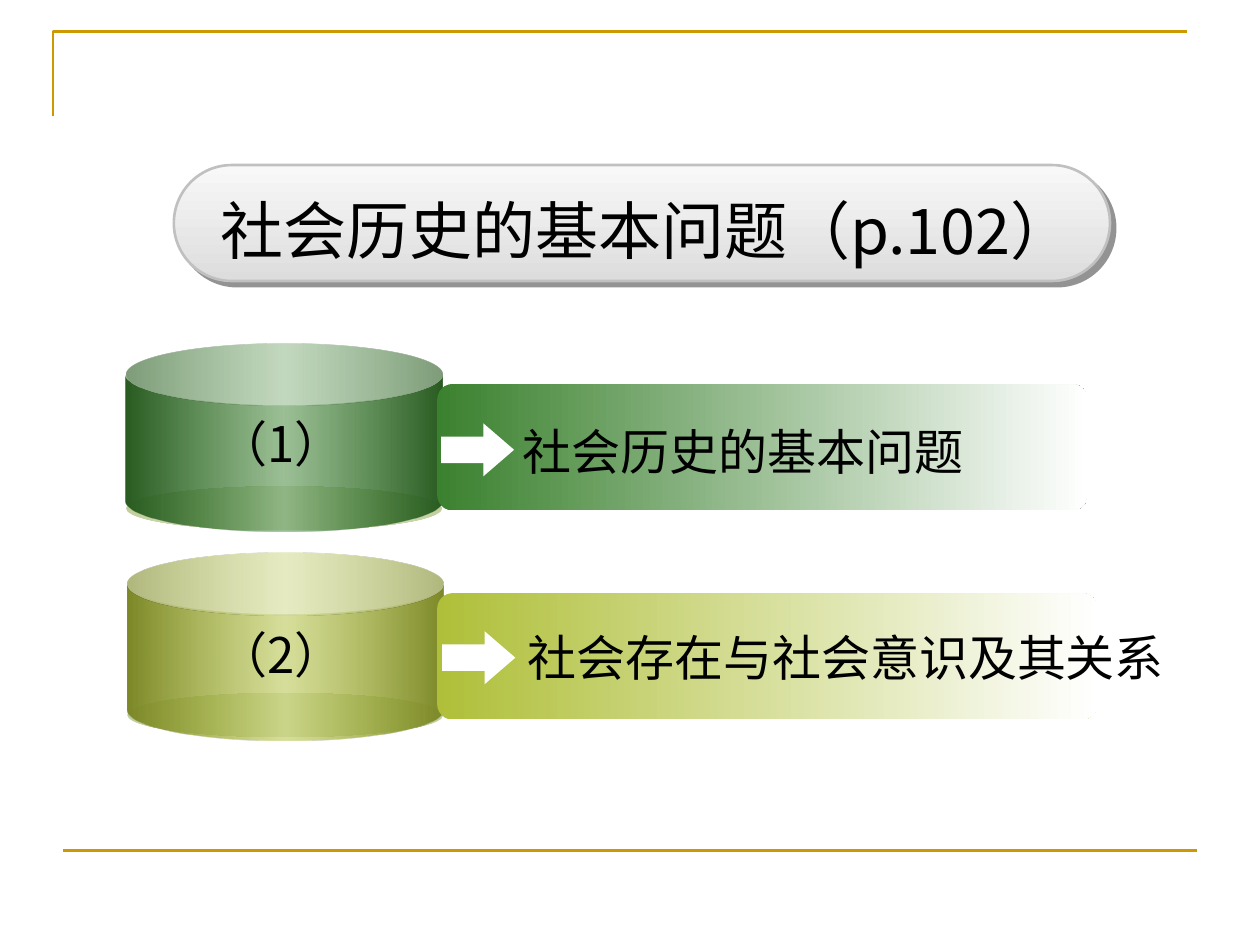
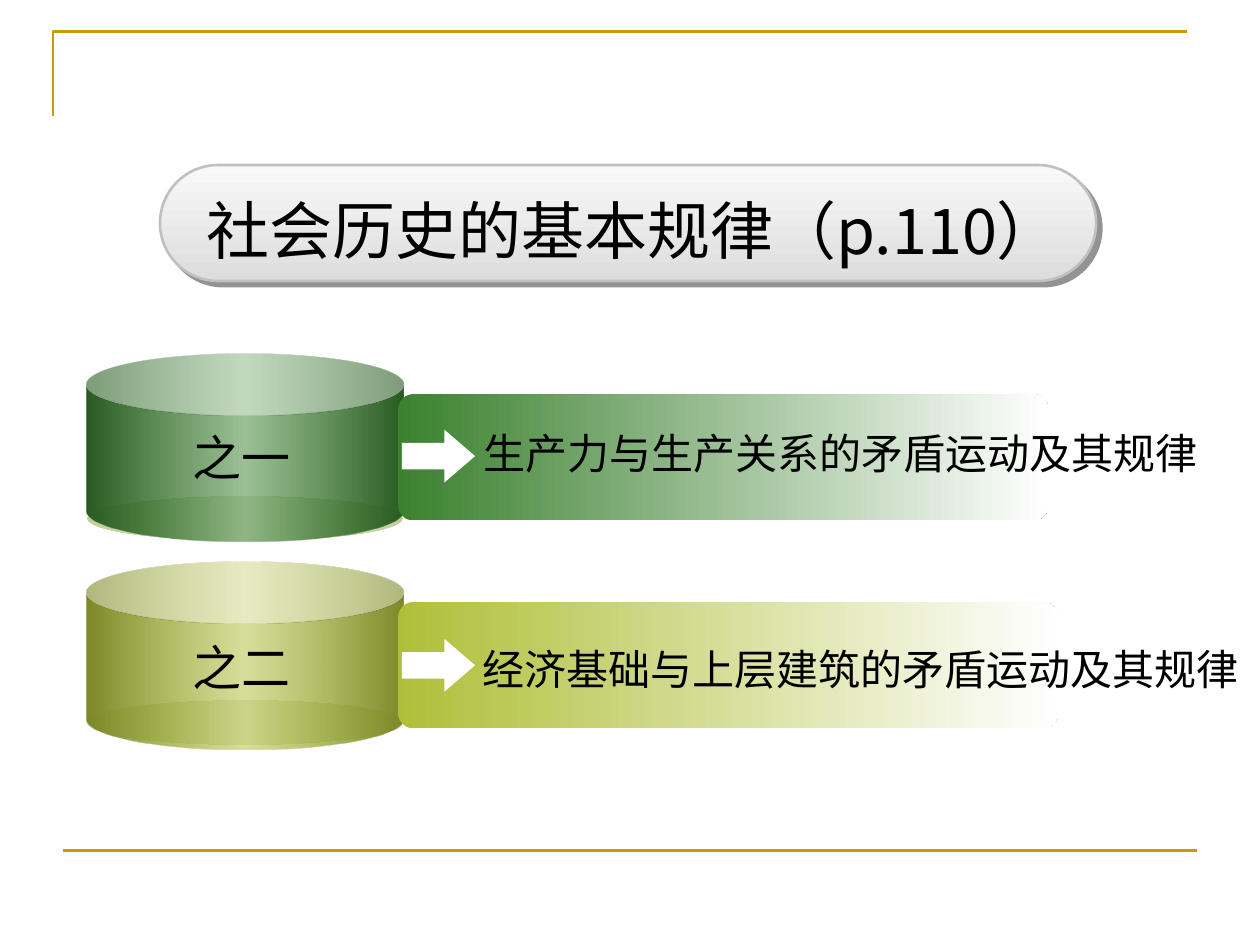
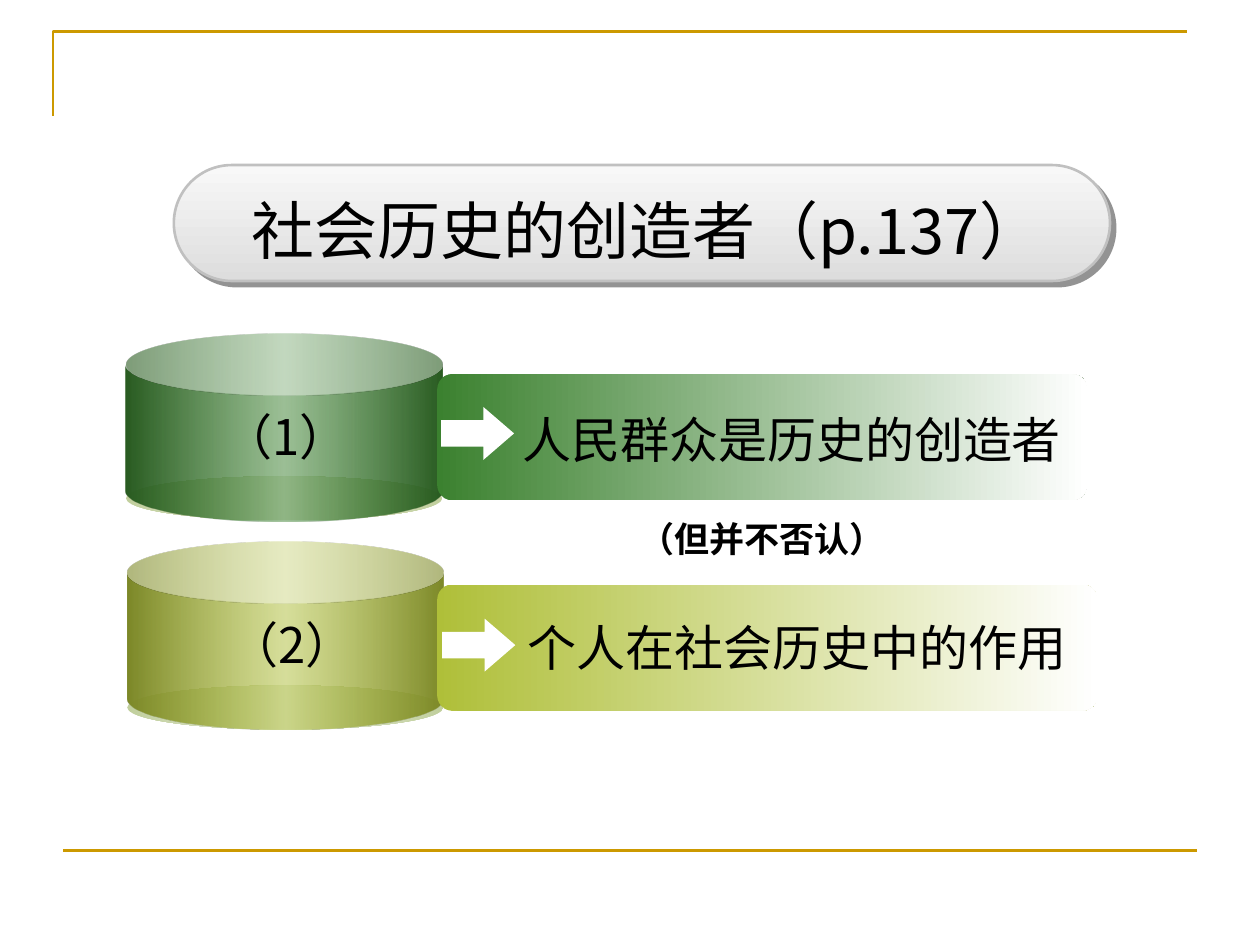
from dataclasses import dataclass

from lxml import etree
from pptx import Presentation
from pptx import util as u
from pptx.dml.color import RGBColor
from pptx.enum import shapes, text
from pptx.oxml.ns import qn

COLORS = {
    "gold": "CC9900", "black": "000000", "white": "FFFFFF",
    "green": "3B812F", "dark_green": "2A5C22",
    "olive": "AFBF39", "dark_olive": "7D8929",
    "rim": "C1CF9D", "rim_light": "E7ECDC",
    "pill_top": "F8F8F8", "pill_bottom": "DDDDDD",
    "pill_line": "C0C0C0", "shadow": "292929",
}
FONT = "Noto Sans CJK SC"
SHAPE = shapes.MSO_SHAPE


def rgb(name):
    return RGBColor.from_string(COLORS[name])


def add_color(parent, name, alpha=100):
    clr = etree.SubElement(parent, qn("a:srgbClr"), val=COLORS[name])
    if alpha < 100:
        etree.SubElement(clr, qn("a:alpha"), val=str(alpha * 1000))


def write(tf, words, size=28, font=FONT, bold=False, align=text.PP_ALIGN.LEFT):
    tf.word_wrap = True
    p = tf.paragraphs[0]
    p.alignment = align
    r = p.add_run()
    r.text = words
    r.font.size, r.font.bold, r.font.name = u.Pt(size), bold, font
    r.font.color.rgb = rgb("black")
    etree.SubElement(r.font._element, qn("a:ea"), typeface=font)


@dataclass
class Row:
    """One drum with its arrow and topic; the y values are tops in inches."""
    drum_y: float
    rim_y: float
    panel_y: float
    arrow_y: float
    label: str
    label_y: float
    topic: str
    topic_y: float
    topic_dx: float = 3.05
    label_dx: float = 0
    drum_dx: float = 0


class Deck:
    # drum colour, drum edge colour, panel width: first row, second row
    ROW_STYLES = (("green", "dark_green", 5.16), ("olive", "dark_olive", 5.24))

    def __init__(self):
        self.prs = Presentation()
        self.prs.slide_width, self.prs.slide_height = u.Inches(10), u.Inches(7.5)
        self.s = None

    def new_slide(self):
        self.s = self.prs.slides.add_slide(self.prs.slide_layouts[6])
        self.frame()

    def frame(self):
        # Corner at the top left, rule at the bottom
        fb = self.s.shapes.build_freeform(u.Inches(0.42), u.Inches(0.92))
        fb.add_line_segments([(u.Inches(0.42), u.Inches(0.25)),
                              (u.Inches(9.42), u.Inches(0.25))], close=False)
        corner = fb.convert_to_shape()
        corner.fill.background()
        corner.shadow.inherit = False
        rule = self.s.shapes.add_connector(
            shapes.MSO_CONNECTOR.STRAIGHT,
            u.Inches(0.5), u.Inches(6.75), u.Inches(9.5), u.Inches(6.75))
        etree.SubElement(rule._element.spPr, qn("a:effectLst"))
        for sp in (corner, rule):
            sp.line.color.rgb = rgb("gold")
            sp.line.width = u.Pt(1.5)

    def shape(self, kind, x, y, w, h, fill=None, adj=()):
        sp = self.s.shapes.add_shape(kind, *map(u.Inches, (x, y, w, h)))
        sp.shadow.inherit = False
        sp.line.fill.background()
        for i, value in enumerate(adj):
            sp.adjustments[i] = value
        if fill:
            sp.fill.solid()
            sp.fill.fore_color.rgb = rgb(fill)
        return sp

    def gradient(self, sp, *stops, angle=0):
        """Each stop is (position %, colour) or (position %, colour, alpha %)."""
        sp.fill.background()
        spPr = sp._element.spPr
        grad = etree.Element(qn("a:gradFill"), rotWithShape="1")
        gs_list = etree.SubElement(grad, qn("a:gsLst"))
        for pos, *color in stops:
            gs = etree.SubElement(gs_list, qn("a:gs"), pos=str(pos * 1000))
            add_color(gs, *color)
        etree.SubElement(grad, qn("a:lin"), ang=str(angle * 60000), scaled="0")
        spPr.replace(spPr.find(qn("a:noFill")), grad)

    def label(self, words, x, y, w, h=0.57, **fmt):
        box = self.s.shapes.add_textbox(*map(u.Inches, (x, y, w, h)))
        write(box.text_frame, words, **fmt)

    def title(self, words, x):
        pill = self.shape(SHAPE.ROUNDED_RECTANGLE, x, 1.31, 7.43, 0.92, adj=[0.5])
        self.gradient(pill, (0, "pill_top"), (100, "pill_bottom"), angle=90)
        pill.line.color.rgb = rgb("pill_line")
        pill.line.width = u.Pt(1.5)
        effects = pill._element.spPr.find(qn("a:effectLst"))
        shadow = etree.SubElement(effects, qn("a:outerShdw"), dist=str(u.Pt(4.2)),
                                  dir=str(45 * 60000), algn="ctr", rotWithShape="0")
        add_color(shadow, "shadow", 50)
        self.label(words, x + 0.04, 1.47, 7.43, 0.71, size=36,
                   align=text.PP_ALIGN.CENTER)

    def row(self, row, x, style, size):
        color, edge, panel_w = style
        drum_x = x + row.drum_dx
        # Drum
        rim = self.shape(SHAPE.OVAL, drum_x, row.rim_y, 2.51, 0.35)
        self.gradient(rim, (0, "rim"), (50, "rim_light"), (100, "rim"))
        drum = self.shape(SHAPE.CAN, drum_x, row.drum_y, 2.51, 1.49, adj=[0.33])
        self.gradient(drum, (0, edge), (50, color, 50), (100, edge))
        # Panel and arrow
        panel = self.shape(SHAPE.ROUNDED_RECTANGLE, x + 2.47, row.panel_y,
                           panel_w, 1, adj=[0.12])
        self.gradient(panel, (0, color), (100, "white"))
        self.shape(SHAPE.RIGHT_ARROW, drum_x + 2.5, row.arrow_y, 0.58, 0.42,
                   fill="white", adj=[0.5, 0.58])
        # Words
        self.label(row.label, x + row.label_dx, row.label_y, 2.46,
                   align=text.PP_ALIGN.CENTER)
        topic_x = x + row.topic_dx
        self.label(row.topic, topic_x, row.topic_y, 10 - topic_x, size=size)

    def topic_slide(self, title, title_x, x, rows, size=28):
        self.new_slide()
        for row, style in zip(rows, self.ROW_STYLES):
            self.row(row, x, style, size)
        self.title(title, title_x)


def main():
    deck = Deck()

    # Slide 1: basic questions
    deck.topic_slide("社会历史的基本问题（p.102）", 1.38, 1, [
        Row(2.73, 3.86, 3.05, 3.36, "（1）", 3.23, "社会历史的基本问题", 3.3),
        Row(4.39, 5.5, 4.71, 5.01, "（2）", 4.91, "社会存在与社会意识及其关系", 4.93,
            topic_dx=3.09, drum_dx=0.01),
    ])

    # Slide 2: basic laws
    deck.topic_slide("社会历史的基本规律（p.110）", 1.27, 0.69, [
        Row(2.81, 3.94, 3.13, 3.41, "之一", 3.34,
            "生产力与生产关系的矛盾运动及其规律", 3.34),
        Row(4.46, 5.56, 4.78, 5.07, "之二", 5.01,
            "经济基础与上层建筑的矛盾运动及其规律", 5.06, topic_dx=3.04),
    ], size=24)

    # Slide 3: makers of history
    deck.topic_slide("社会历史的创造者（p.137）", 1.38, 1, [
        Row(2.65, 3.78, 2.97, 3.23, "（1）", 3.18, "人民群众是历史的创造者", 3.2,
            label_dx=0.04),
        Row(4.3, 5.44, 4.64, 4.91, "（2）", 4.83, "个人在社会历史中的作用", 4.85,
            topic_dx=3.09, label_dx=0.09, drum_dx=0.01),
    ])
    deck.label("（但并不否认）", 3.47, 4.06, 5.16, 0.44, size=20, font="Arial",
               bold=True, align=text.PP_ALIGN.CENTER)

    deck.prs.save("out.pptx")


if __name__ == "__main__":
    main()
